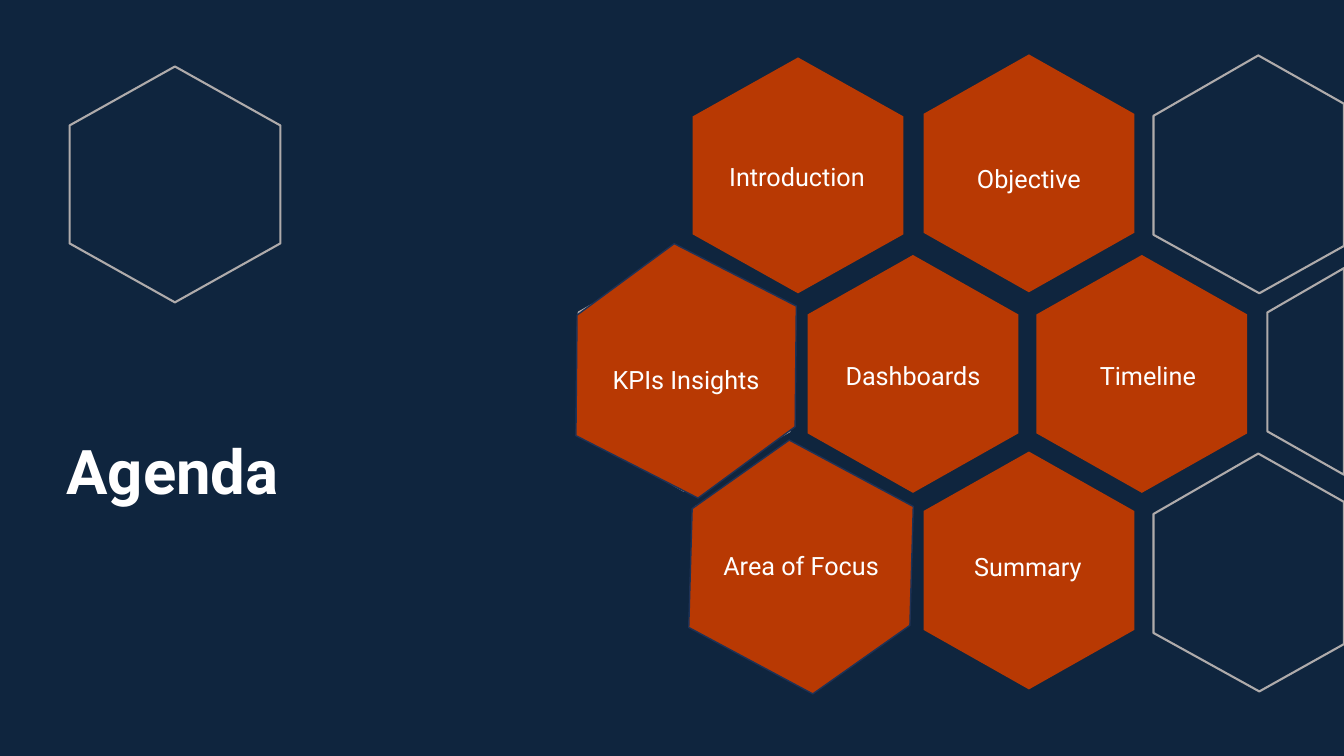
from pptx import Presentation
from pptx.dml.color import RGBColor
from pptx.enum.shapes import MSO_SHAPE
from pptx.enum.text import MSO_ANCHOR, MSO_AUTO_SIZE, PP_ALIGN
from pptx.util import Inches, Pt

HEXAGON = MSO_SHAPE.HEXAGON
MIDDLE = MSO_ANCHOR.MIDDLE
NO_AUTOFIT = MSO_AUTO_SIZE.NONE
LEFT, CENTER = PP_ALIGN.LEFT, PP_ALIGN.CENTER
NAVY, ORANGE, GREY, EDGE, WHITE = "0F253E", "B83903", "AFABAB", "1E3256", "FFFFFF"
HEX_WIDTH = 2.09


def paint(shape, fill=None, line=None, weight=1.5):
    shape.shadow.inherit = False
    if fill:
        shape.fill.solid()
        shape.fill.fore_color.rgb = RGBColor.from_string(fill)
    else:
        shape.fill.background()
    if line:
        shape.line.color.rgb = RGBColor.from_string(line)
        shape.line.width = Pt(weight)
    else:
        shape.line.fill.background()


def write(shape, text, size, align, spacing, bold=False):
    frame = shape.text_frame
    frame.word_wrap = True
    frame.auto_size = NO_AUTOFIT
    frame.vertical_anchor = MIDDLE
    frame.text = text
    para = frame.paragraphs[0]
    para.alignment = align
    para.line_spacing = spacing
    para.space_before = Pt(0)
    font = para.runs[0].font
    font.name = "Roboto"
    font.size = Pt(size)
    font.bold = bold
    font.color.rgb = RGBColor.from_string(WHITE)


deck = Presentation()
deck.slide_width = Inches(13.33)
deck.slide_height = Inches(7.5)
page = deck.slides.add_slide(deck.slide_layouts[5])
page.background.fill.solid()
page.background.fill.fore_color.rgb = RGBColor.from_string(NAVY)

full_hexagons = [
    (6.87, 0.57, 2.34, ORANGE, None),
    (9.16, 0.54, 2.36, ORANGE, None),
    (8.01, 2.53, 2.36, ORANGE, None),
    (9.16, 4.48, 2.36, ORANGE, None),
    (10.28, 2.53, 2.36, ORANGE, None),
    (0.69, 0.66, 2.34, None, GREY),
    (5.74, 2.51, 2.36, None, GREY),
    (6.9, 4.44, 2.36, None, GREY),
]
outlines = []
for left, top, height, fill, line in full_hexagons:
    middle, right = left + HEX_WIDTH / 2, left + HEX_WIDTH
    upper, lower = top + height / 4, top + height * 3 / 4
    points = [(middle, top), (right, upper), (right, lower),
              (middle, top + height), (left, lower), (left, upper)]
    outlines.append((points, fill, line))

cut_hexagon = [(1.04, 0), (1.89, 0.48), (1.89, 1.89), (1.05, 2.36), (0, 1.78), (0, 0.6)]
for top in (0.55, 4.5):
    points = [(11.44 + x, top + y) for x, y in cut_hexagon]
    outlines.append((points, None, GREY))
outlines.append(([(13.33, 2.66), (13.33, 4.71), (12.57, 4.28), (12.57, 3.1)], None, GREY))

for points, fill, line in outlines:
    corners = [(Inches(x), Inches(y)) for x, y in points]
    builder = page.shapes.build_freeform(*corners[0])
    builder.add_line_segments(corners[1:], close=True)
    paint(builder.convert_to_shape(), fill, line)

for left, top, width, height, angle in [(5.59, 2.61, 2.43, 2.14, 27.1),
                                        (6.72, 4.57, 2.45, 2.11, 28.2)]:
    tilted = page.shapes.add_shape(HEXAGON, Inches(left), Inches(top),
                                   Inches(width), Inches(height))
    tilted.rotation = angle
    paint(tilted, ORANGE, EDGE, 1)

title = page.shapes.title
title.left, title.top = Inches(0.56), Inches(3.76)
title.width, title.height = Inches(4.65), Inches(1.9)
write(title, "Agenda", 44, LEFT, 0.9, bold=True)

topics = [
    ("Introduction", 6.86, 1.18, 1.15, 1.0),
    ("Objective", 9.16, 1.18, 1.15, 1.13),
    ("KPIs Insights", 5.76, 3.27, 0.98, 1.0),
    ("Dashboards", 8.01, 3.11, 1.19, 1.13),
    ("Timeline", 10.34, 3.37, 0.67, 1.13),
    ("Area of Focus", 6.9, 5.03, 1.15, 1.0),
    ("Summary", 9.15, 5.13, 0.94, 1.13),
]
for topic, left, top, height, spacing in topics:
    box = page.shapes.add_textbox(Inches(left), Inches(top),
                                  Inches(HEX_WIDTH), Inches(height))
    write(box, topic, 18, CENTER, spacing)

deck.save("out.pptx")
